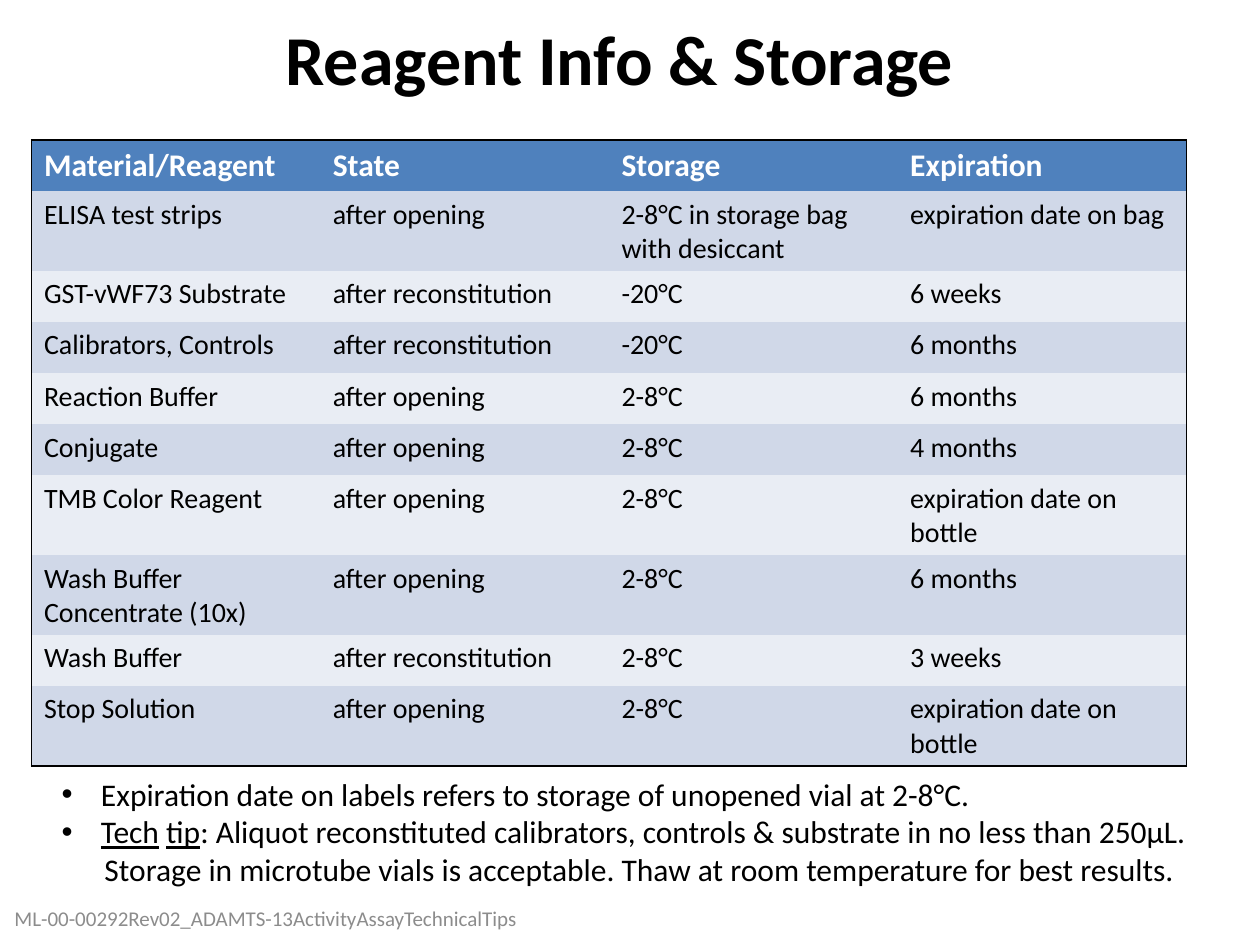
from lxml import etree
from pptx import Presentation
from pptx.dml.color import RGBColor
from pptx.enum import text as t
from pptx.oxml import ns
from pptx.util import Pt

FONT = "Calibri"
COLORS = {"ink": "000000", "white": "FFFFFF", "head": "4F81BD",
          "dark": "D0D8E8", "light": "E9EDF4", "gray": "8C8C8C"}
ROWS = [
    ("Material/Reagent", "State", "Storage", "Expiration"),
    ("ELISA test strips", "after opening",
     "2-8°C in storage bag with desiccant", "expiration date on bag"),
    ("GST-vWF73 Substrate", "after reconstitution", "-20°C", "6 weeks"),
    ("Calibrators, Controls", "after reconstitution", "-20°C", "6 months"),
    ("Reaction Buffer", "after opening", "2-8°C", "6 months"),
    ("Conjugate", "after opening", "2-8°C", "4 months"),
    ("TMB Color Reagent", "after opening", "2-8°C",
     "expiration date on bottle"),
    ("Wash Buffer Concentrate (10x)", "after opening", "2-8°C", "6 months"),
    ("Wash Buffer", "after reconstitution", "2-8°C", "3 weeks"),
    ("Stop Solution", "after opening", "2-8°C", "expiration date on bottle"),
]
# Each note: bulleted or not, then runs of (words, underlined)
NOTES = [
    (True, [("Expiration date on labels refers to storage of unopened vial "
             "at 2-8°C.", False)]),
    (True, [("Tech", True), (" ", False), ("tip", True),
            (": Aliquot reconstituted calibrators, controls & substrate "
             "in no less than 250µL.", False)]),
    (False, [("Storage in microtube vials is acceptable. Thaw at room "
              "temperature for best results.", False)]),
]


def color(name):
    return RGBColor.from_string(COLORS[name])


def add_run(para, words, size, ink="ink", bold=False, under=False):
    run = para.add_run()
    run.text = words
    font = run.font
    font.name, font.size, font.bold = FONT, Pt(size), bold
    font.underline = under
    font.color.rgb = color(ink)


def place(shape, box):
    shape.left, shape.top, shape.width, shape.height = map(Pt, box)


def set_edges(cell, drawn):
    """Draw the named sides (L, R, T, B) and clear the others."""
    props = cell._tc.get_or_add_tcPr()
    for side in "LRTB":
        line = etree.SubElement(props, ns.qn("a:ln" + side), w=str(Pt(1)))
        if side in drawn:
            fill = etree.SubElement(line, ns.qn("a:solidFill"))
            etree.SubElement(fill, ns.qn("a:srgbClr"), val=COLORS["ink"])
        else:
            etree.SubElement(line, ns.qn("a:noFill"))


def set_bullet(para, shown, left):
    props = para._p.get_or_add_pPr()
    props.set("marL", str(Pt(left)))
    props.set("indent", str(Pt(-left if shown else 0)))
    if shown:
        etree.SubElement(props, ns.qn("a:buFont"), typeface="Arial")
        etree.SubElement(props, ns.qn("a:buChar"), char="•")
    else:
        etree.SubElement(props, ns.qn("a:buNone"))


def fill_title(shape, box):
    place(shape, box)
    frame = shape.text_frame
    frame.vertical_anchor = t.MSO_ANCHOR.MIDDLE
    para = frame.paragraphs[0]
    para.alignment = t.PP_ALIGN.CENTER
    add_run(para, "Reagent Info & Storage", 40, bold=True)


def add_grid(slide, box):
    last, end = len(ROWS) - 1, len(ROWS[0]) - 1
    table = slide.shapes.add_table(last + 1, end + 1, *map(Pt, box)).table
    for r, row in enumerate(ROWS):
        head = r == 0
        shade = "head" if head else "dark" if r % 2 else "light"
        for c, words in enumerate(row):
            cell = table.cell(r, c)
            sides = {"L": c == 0, "R": c == end, "T": head, "B": r == last}
            set_edges(cell, [side for side, on in sides.items() if on])
            cell.fill.solid()
            cell.fill.fore_color.rgb = color(shade)
            add_run(cell.text_frame.paragraphs[0], words, 18 if head else 16,
                    "white" if head else "ink", head)


def fill_notes(shape, box):
    place(shape, box)
    frame = shape.text_frame
    frame.word_wrap = True
    frame.auto_size = t.MSO_AUTO_SIZE.SHAPE_TO_FIT_TEXT
    for i, (shown, runs) in enumerate(NOTES):
        para = frame.add_paragraph() if i else frame.paragraphs[0]
        para.space_before = Pt(0)
        set_bullet(para, shown, 22.5 if shown else 24.5)
        for words, under in runs:
            add_run(para, words, 18, under=under)


def add_footer(slide, box):
    frame = slide.shapes.add_textbox(*map(Pt, box)).text_frame
    frame.word_wrap = True
    frame.vertical_anchor = t.MSO_ANCHOR.MIDDLE
    add_run(frame.paragraphs[0],
            "ML-00-00292Rev02_ADAMTS-13ActivityAssayTechnicalTips", 12, "gray")


def main():
    deck = Presentation()
    deck.slide_width, deck.slide_height = Pt(720), Pt(540)
    slide = deck.slides.add_slide(deck.slide_layouts[1])
    title, body = slide.placeholders
    fill_title(title, (30, -12, 648, 90))
    add_grid(slide, (18, 80, 660, 292))
    fill_notes(body, (28, 439, 667, 73))
    add_footer(slide, (1.2, 510, 366, 28.8))
    deck.save("out.pptx")


if __name__ == "__main__":
    main()
